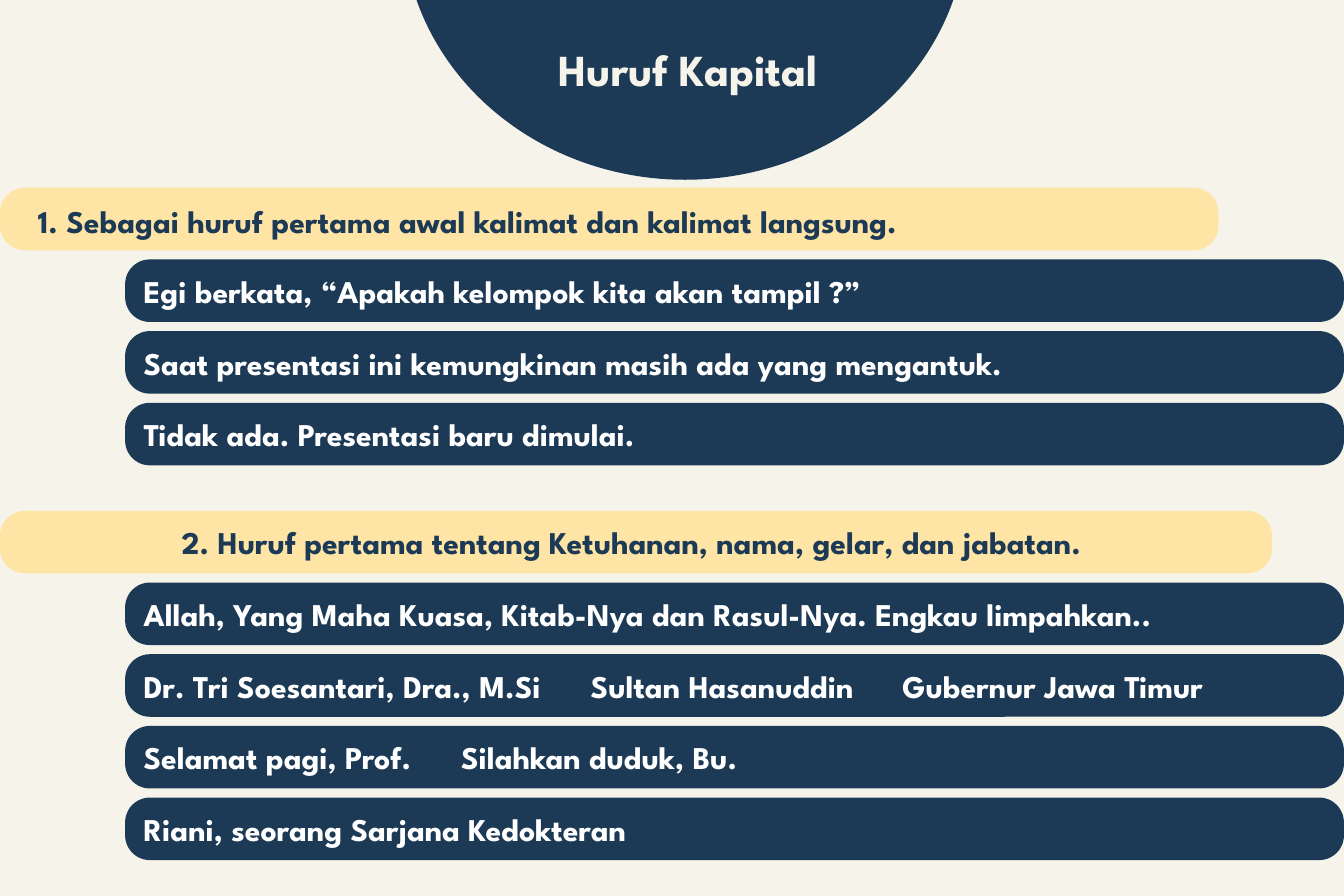
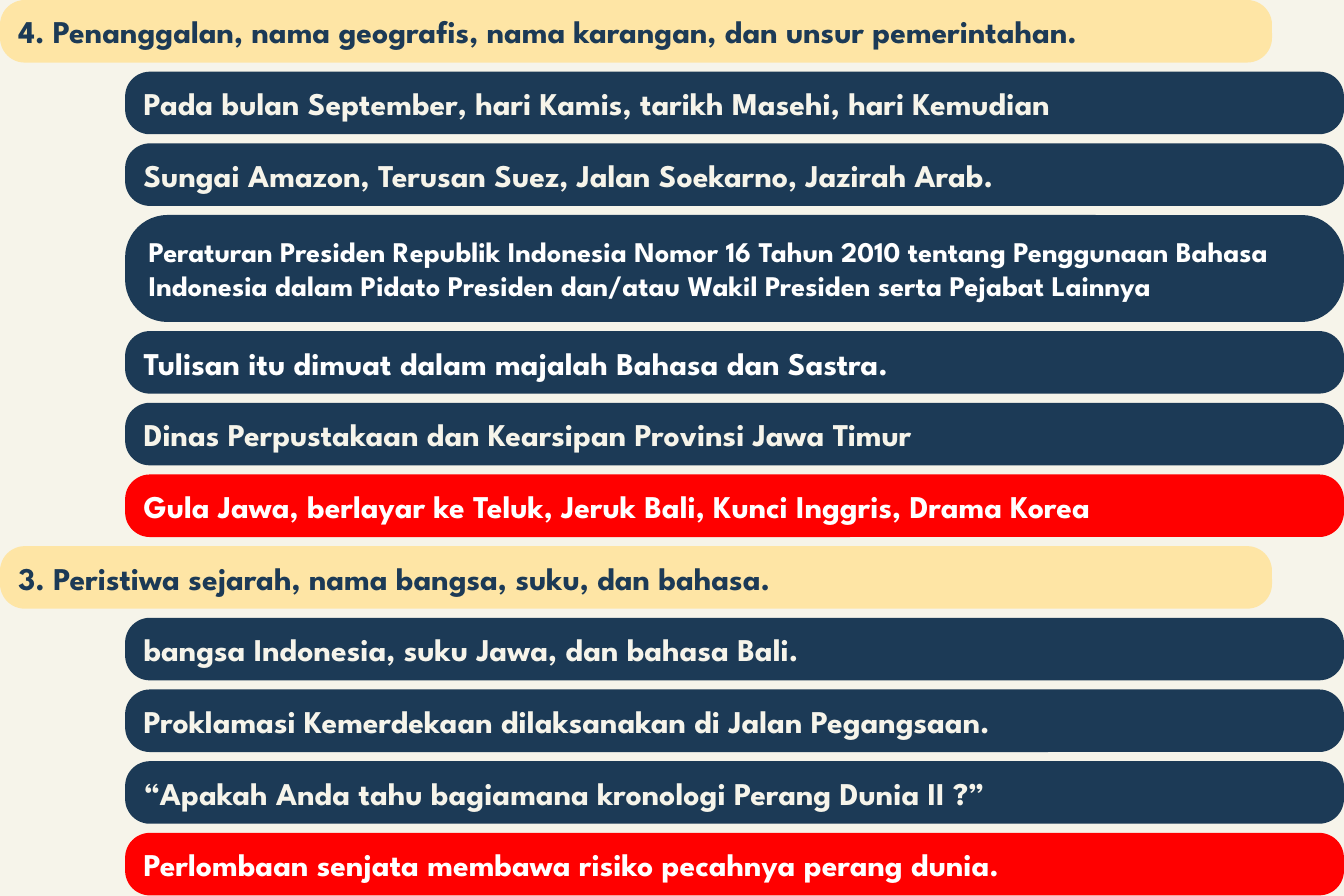
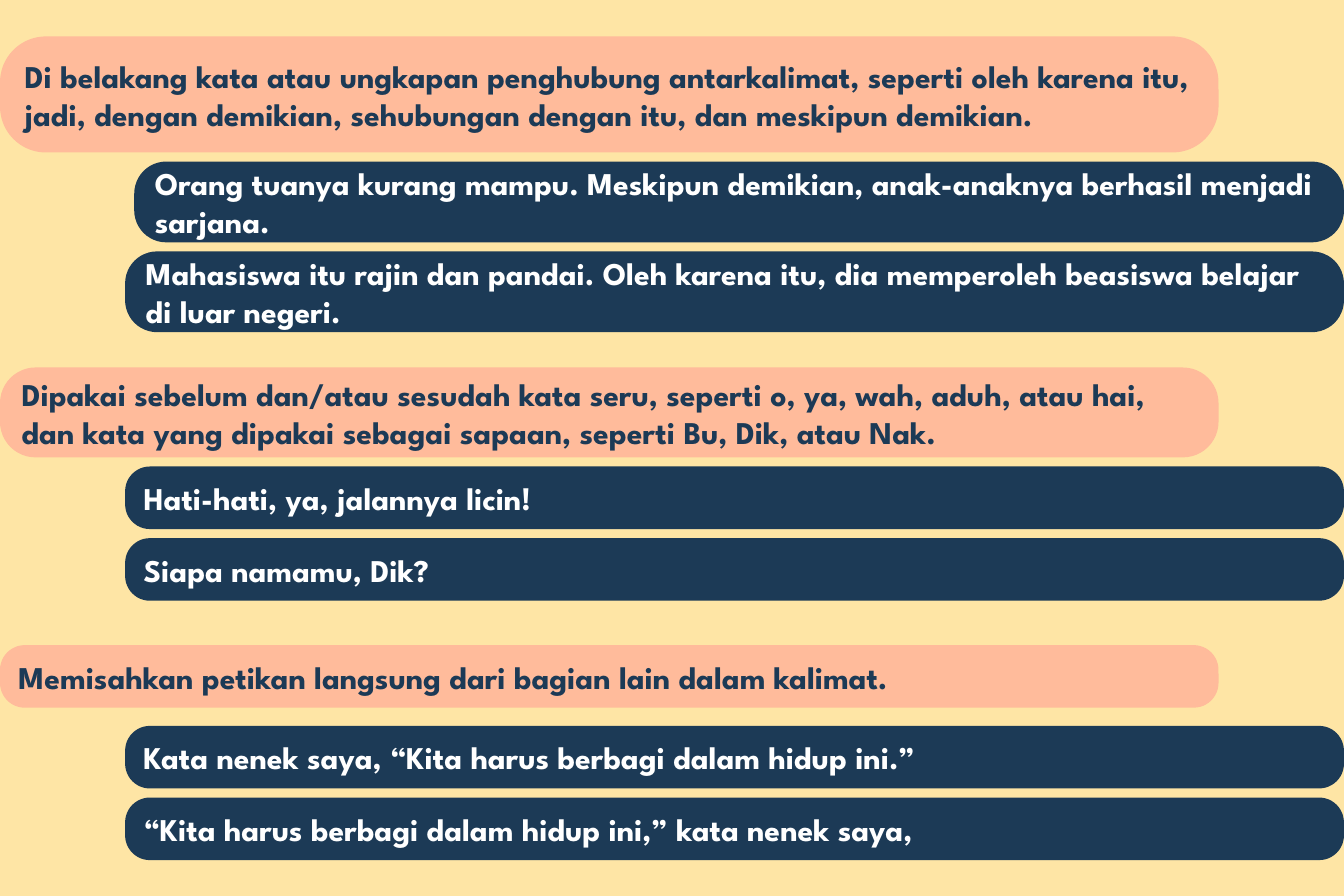
from dataclasses import dataclass

from lxml.etree import SubElement
from pptx import Presentation
from pptx.dml.color import RGBColor
from pptx.enum.shapes import MSO_SHAPE
from pptx.enum.text import MSO_ANCHOR, MSO_AUTO_SIZE, PP_ALIGN
from pptx.oxml.ns import qn
from pptx.util import Inches, Pt

COLORS = {
    "cream": "F6F4EA",
    "navy": "1C3A56",
    "yellow": "FEE5A5",
    "peach": "FFBB9B",
    "red": "FF0000",
    "white": "FFFFFF",
}
FONT = "League Spartan"
SLIDE_HEIGHT = 63 / 8
SLIDE_WIDTH = SLIDE_HEIGHT * 3 / 2
TITLE_ONLY, BLANK = 5, 6
BAR_HEIGHT, BAR_GAP = 0.55, 0.08
CORNER = 0.396
EXAMPLE_LEFT = 1.1


@dataclass(frozen=True)
class Bar:
    text: str
    fill: str = "navy"
    color: str = "white"
    left: float = EXAMPLE_LEFT
    right: float = SLIDE_WIDTH
    height: float = BAR_HEIGHT
    gap_above: float = BAR_GAP
    size: int = 20
    align: PP_ALIGN = PP_ALIGN.LEFT
    margins: tuple[float, float, float, float] = (0.1, 0.05, 0.1, 0.05)
    tabs: tuple[float, ...] = ()


@dataclass(frozen=True)
class Section:
    """A rule bar at a given top, with its example bars stacked below."""
    top: float
    bars: tuple[Bar, ...]


@dataclass(frozen=True)
class Page:
    background: str
    sections: tuple[Section, ...]
    title: str = ""


def rule(text: str, fill: str = "yellow", right: float = 11.18, **options) -> Bar:
    return Bar(text, fill, "navy", left=0, right=right, **options)


def peach_rule(text: str, **options) -> Bar:
    return rule(text, "peach", 10.71, **options)


def cream_example(text: str) -> Bar:
    return Bar(text, color="cream")


def warning(text: str) -> Bar:
    return Bar(text, "red")


PAGES = (
    Page("cream", title="Huruf Kapital ", sections=(
        Section(1.65, (
            rule("1. Sebagai huruf pertama awal kalimat dan kalimat langsung.",
                 right=10.71, margins=(0.27, 0.05, 0.1, 0.01)),
            Bar("Egi berkata, “Apakah kelompok kita akan tampil ?”"),
            Bar("Saat presentasi ini kemungkinan masih ada yang mengantuk."),
            Bar("Tidak ada. Presentasi baru dimulai."),
        )),
        Section(4.49, (
            rule("2. Huruf pertama tentang Ketuhanan, nama, gelar, dan jabatan. ",
                 align=PP_ALIGN.CENTER),
            Bar("Allah, Yang Maha Kuasa, Kitab-Nya dan Rasul-Nya. Engkau limpahkan.."),
            Bar("Dr. Tri Soesantari, Dra., M.Si\tSultan Hasanuddin\tGubernur Jawa Timur",
                tabs=(3.93, 6.67)),
            Bar("Selamat pagi, Prof.\tSilahkan duduk, Bu.", tabs=(2.79,)),
            Bar("Riani, seorang Sarjana Kedokteran"),
        )),
    )),
    Page("cream", (
        Section(0, (
            rule("4. Penanggalan, nama geografis, nama karangan, dan unsur pemerintahan."),
            cream_example("Pada bulan September, hari Kamis, tarikh Masehi, hari Kemudian"),
            cream_example("Sungai Amazon, Terusan Suez, Jalan Soekarno, Jazirah Arab."),
            Bar("Peraturan Presiden Republik Indonesia Nomor 16 Tahun 2010 tentang "
                "Penggunaan Bahasa Indonesia dalam Pidato Presiden dan/atau Wakil "
                "Presiden serta Pejabat Lainnya", height=0.94, size=18),
            Bar("Tulisan itu dimuat dalam majalah Bahasa dan Sastra."),
            cream_example("Dinas Perpustakaan dan Kearsipan Provinsi Jawa Timur"),
            warning("Gula Jawa, berlayar ke Teluk, Jeruk Bali, Kunci Inggris, Drama Korea"),
        )),
        Section(4.8, (
            rule("3. Peristiwa sejarah, nama bangsa, suku, dan bahasa."),
            cream_example("bangsa Indonesia, suku Jawa, dan bahasa Bali."),
            cream_example("Proklamasi Kemerdekaan dilaksanakan di Jalan Pegangsaan."),
            cream_example("“Apakah Anda tahu bagiamana kronologi Perang Dunia II ?”"),
            warning("Perlombaan senjata membawa risiko pecahnya perang dunia."),
        )),
    )),
    Page("yellow", (
        Section(0.32, (
            peach_rule("Di belakang kata atau ungkapan penghubung antarkalimat, seperti "
                       "oleh karena itu, jadi, dengan demikian, sehubungan dengan itu, "
                       "dan meskipun demikian.", height=1.02),
            Bar("Orang tuanya kurang mampu. Meskipun demikian, anak-anaknya berhasil "
                "menjadi sarjana.", left=1.18, height=0.71),
            Bar("Mahasiswa itu rajin dan pandai. Oleh karena itu, dia memperoleh "
                "beasiswa belajar di luar negeri.", height=0.71),
        )),
        Section(3.23, (
            peach_rule("Dipakai sebelum dan/atau sesudah kata seru, seperti o, ya, wah, "
                       "aduh, atau hai, dan kata yang dipakai sebagai sapaan, seperti "
                       "Bu, Dik, atau Nak.", height=0.79),
            Bar("Hati-hati, ya, jalannya licin!"),
            Bar("Siapa namamu, Dik?"),
        )),
        Section(5.67, (
            peach_rule("Memisahkan petikan langsung dari bagian lain dalam kalimat."),
            Bar("Kata nenek saya, “Kita harus berbagi dalam hidup ini.”", gap_above=0.16),
            Bar("“Kita harus berbagi dalam hidup ini,” kata nenek saya,"),
        )),
    )),
)


def rgb(color: str) -> RGBColor:
    return RGBColor.from_string(COLORS[color])


def set_attributes(target, values: dict) -> None:
    for attribute, value in values.items():
        setattr(target, attribute, value)


def add_filled(slide, kind: MSO_SHAPE, left: float, top: float,
               width: float, height: float, fill: str):
    shape = slide.shapes.add_shape(
        kind, Inches(left), Inches(top), Inches(width), Inches(height))
    shape.shadow.inherit = False
    shape.fill.solid()
    shape.fill.fore_color.rgb = rgb(fill)
    shape.line.fill.background()
    return shape


def write_text(frame, text: str, size: int, color: str, align: PP_ALIGN,
               tabs: tuple[float, ...] = ()) -> None:
    paragraph = frame.paragraphs[0]
    paragraph.alignment = align
    if tabs:
        tab_list = SubElement(paragraph._p.get_or_add_pPr(), qn("a:tabLst"))
        for position in tabs:
            SubElement(tab_list, qn("a:tab"), pos=str(Inches(position)), algn="l")
    run = paragraph.add_run()
    run.text = text
    set_attributes(run.font, {"name": FONT, "size": Pt(size), "bold": True})
    run.font.color.rgb = rgb(color)


def draw_bar(slide, bar: Bar, top: float) -> None:
    shape = add_filled(slide, MSO_SHAPE.ROUNDED_RECTANGLE, bar.left, top,
                       bar.right - bar.left, bar.height, bar.fill)
    shape.adjustments[0] = CORNER
    left, upper, right, lower = map(Inches, bar.margins)
    set_attributes(shape.text_frame, {
        "word_wrap": True,
        "vertical_anchor": MSO_ANCHOR.MIDDLE,
        "margin_left": left,
        "margin_top": upper,
        "margin_right": right,
        "margin_bottom": lower,
    })
    write_text(shape.text_frame, bar.text, bar.size, bar.color, bar.align, bar.tabs)


def draw_section(slide, section: Section) -> None:
    top = section.top
    for index, bar in enumerate(section.bars):
        if index:
            top += bar.gap_above
        draw_bar(slide, bar, top)
        top += bar.height


def draw_title(slide, text: str) -> None:
    """Put the title on a circle that hangs from the top edge."""
    circle = add_filled(slide, MSO_SHAPE.OVAL, 3.54, -2.99, 4.96, 4.57, "navy")
    title = slide.shapes.title
    circle.element.addnext(title.element)
    set_attributes(title, {
        "left": Inches(4.17),
        "top": Inches(0.32),
        "width": Inches(3.86),
        "height": Inches(0.57),
    })
    set_attributes(title.text_frame, {
        "word_wrap": True,
        "auto_size": MSO_AUTO_SIZE.NONE,
        "vertical_anchor": MSO_ANCHOR.TOP,
    })
    write_text(title.text_frame, text, 28, "cream", PP_ALIGN.CENTER)


def draw_page(presentation, page: Page) -> None:
    layout = TITLE_ONLY if page.title else BLANK
    slide = presentation.slides.add_slide(presentation.slide_layouts[layout])
    slide.background.fill.solid()
    slide.background.fill.fore_color.rgb = rgb(page.background)
    if page.title:
        draw_title(slide, page.title)
    for section in page.sections:
        draw_section(slide, section)


def main() -> None:
    presentation = Presentation()
    presentation.slide_width = Inches(SLIDE_WIDTH)
    presentation.slide_height = Inches(SLIDE_HEIGHT)
    for page in PAGES:
        draw_page(presentation, page)
    presentation.save("out.pptx")


if __name__ == "__main__":
    main()
